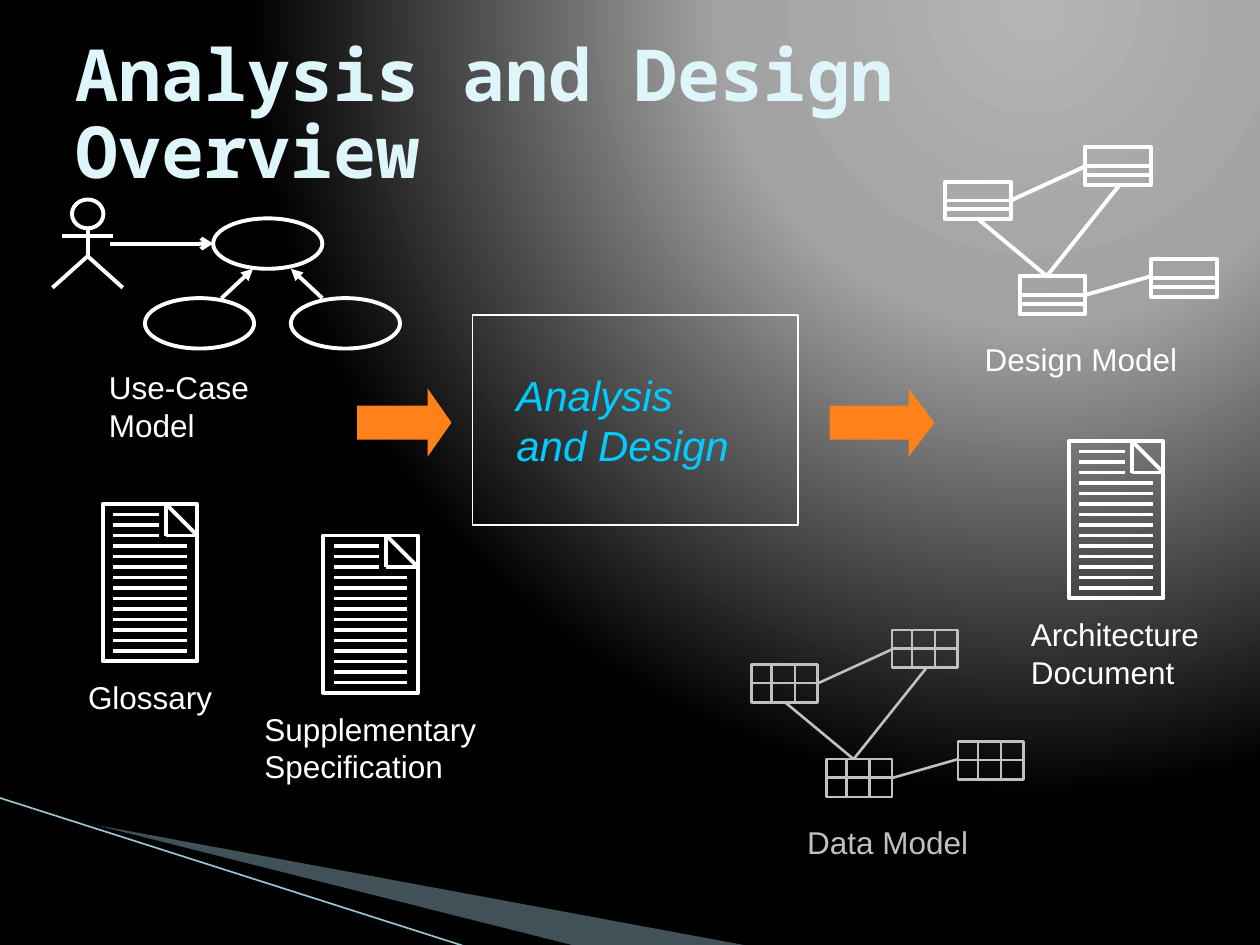
"""Build the Analysis and Design overview slide on a grid of 120 columns by 90 rows."""
from lxml.etree import SubElement
from pptx import Presentation
from pptx.dml.color import RGBColor
from pptx.enum.shapes import MSO_CONNECTOR, MSO_SHAPE
from pptx.enum.text import MSO_ANCHOR, MSO_AUTO_SIZE
from pptx.oxml import parse_xml
from pptx.oxml.ns import nsdecls, qn
from pptx.util import Inches, Pt

WHITE = RGBColor(0xFF, 0xFF, 0xFF)
BLACK = RGBColor(0x00, 0x00, 0x00)
SILVER = RGBColor(0xC0, 0xC0, 0xC0)
ORANGE = RGBColor(0xFF, 0x81, 0x19)
CYAN = RGBColor(0x00, 0xCC, 0xFF)
ICE = RGBColor(0xDE, 0xF5, 0xFA)
MIST = RGBColor(0xA0, 0xCB, 0xDC)
TEAL = RGBColor(0x97, 0xC5, 0xD8)

COLUMNS, ROWS = 120, 90
WIDTH, HEIGHT = Inches(10), Inches(7.5)
BOX_WIDTH, BOX_HEIGHT = 6.25, 3.6
NETWORK_BOXES = [(0, 0), (13.35, -3.3), (7.1, 9), (19.65, 7.35)]
NETWORK_LINKS = [
    ((9.7, 9), (3.25, 3.65)),
    ((6.25, 1.8), (13.35, -1.45)),
    ((13.35, 10.8), (19.65, 9)),
    ((9.7, 9), (16.6, 0.35)),
]
CLASS_RULES = [((0, row), (BOX_WIDTH, row)) for row in (1.8, 2.65)]
TABLE_RULES = [((0, 1.75), (BOX_WIDTH, 1.75))] + [
    ((column, 0), (column, BOX_HEIGHT)) for column in (1.9, 4.1)
]


def across(columns):
    return round(columns * WIDTH / COLUMNS)


def down(rows):
    return round(rows * HEIGHT / ROWS)


def shift(origin, point):
    return origin[0] + point[0], origin[1] + point[1]


def style(shape, fill=None, line=None, weight=2.25):
    shape.shadow.inherit = False
    if fill is None:
        shape.fill.background()
    else:
        shape.fill.solid()
        shape.fill.fore_color.rgb = fill
    if line is None:
        shape.line.fill.background()
    else:
        shape.line.color.rgb = line
        shape.line.width = Pt(weight)
    return shape


def add_figure(shapes, kind, corner, size, **look):
    shape = shapes.add_shape(kind, across(corner[0]), down(corner[1]), across(size[0]), down(size[1]))
    return style(shape, **look)


def add_outline(shapes, points, close=False, **look):
    places = [(across(column), down(row)) for column, row in points]
    builder = shapes.build_freeform(*places[0])
    builder.add_line_segments(places[1:], close=close)
    return style(builder.convert_to_shape(), **look)


def add_line(shapes, start, end, color=WHITE, weight=2.25, head=None):
    line = shapes.add_connector(
        MSO_CONNECTOR.STRAIGHT, across(start[0]), down(start[1]), across(end[0]), down(end[1])
    )
    line.line.color.rgb = color
    line.line.width = Pt(weight)
    if head:
        SubElement(line.line._get_or_add_ln(), qn("a:tailEnd"), type=head)
    SubElement(line._element.spPr, qn("a:effectLst"))


def add_text(shapes, corner, size, lines, points=18, color=WHITE, name="Arial", wrap=False):
    box = shapes.add_textbox(across(corner[0]), down(corner[1]), across(size[0]), down(size[1]))
    frame = box.text_frame
    frame.word_wrap = wrap
    frame.auto_size = MSO_AUTO_SIZE.SHAPE_TO_FIT_TEXT
    frame.text = "\n".join(lines)
    for para in frame.paragraphs:
        para.font.size = Pt(points)
        para.font.name = name
        para.font.color.rgb = color
    return frame


def add_background(page):
    stops = "".join(
        f'<a:gs pos="{share * 1000}"><a:srgbClr val="{color}"/></a:gs>'
        for share, color in ((0, "B4B4B4"), (40, "A2A2A2"), (100, "000000"))
    )
    page._element.cSld.insert(0, parse_xml(
        f'<p:bg {nsdecls("p", "a")}><p:bgPr><a:gradFill rotWithShape="1"><a:gsLst>{stops}</a:gsLst>'
        '<a:path path="circle"><a:fillToRect l="65000" t="0" r="0" b="98000"/></a:path>'
        '</a:gradFill><a:effectLst/></p:bgPr></p:bg>'
    ))


def add_swoosh(shapes):
    wedge = add_outline(shapes, [(6.6, 78.1), (71.4, 90.1), (54.7, 90.1), (6.6, 78)], close=True, fill=MIST)
    color = wedge._element.spPr.find(qn("a:solidFill"))[0]
    SubElement(color, qn("a:alpha"), val="40000")
    add_outline(shapes, [(6.4, 77.9), (54.8, 90.1), (44.6, 90.2), (6.5, 78)], close=True, fill=BLACK)
    add_line(shapes, (0, 76), (44.5, 90.2), TEAL, 0.95)


def add_document(page, corner, caption, indent, width):
    shapes = page.shapes.add_group_shape().shapes
    add_figure(shapes, MSO_SHAPE.RECTANGLE, corner, (9, 15), line=WHITE)
    for start, end in (((6, 0), (9, 3)), ((6, 0), (6, 3)), ((9, 3), (6, 3))):
        add_line(shapes, shift(corner, start), shift(corner, end))
    for row in range(1, 15):
        end = 5.3 if row <= 3 else 8
        add_line(shapes, shift(corner, (1, row)), shift(corner, (end, row)))
    add_text(shapes, shift(corner, (-indent, 16)), (width, 1.2 + 3.6 * len(caption)), caption)


def add_network(page, origin, rules, color, weight, caption, place, width):
    shapes = page.shapes.add_group_shape().shapes
    for start, end in NETWORK_LINKS:
        add_line(shapes, shift(origin, start), shift(origin, end), color, weight)
    for offset in NETWORK_BOXES:
        corner = shift(origin, offset)
        add_figure(shapes, MSO_SHAPE.RECTANGLE, corner, (BOX_WIDTH, BOX_HEIGHT), line=color, weight=weight)
        for start, end in rules:
            add_line(shapes, shift(corner, start), shift(corner, end), color, weight)
    add_text(shapes, place, (width, 4.8), [caption], color=color)


def add_use_cases(page):
    shapes = page.shapes.add_group_shape().shapes
    add_figure(shapes, MSO_SHAPE.OVAL, (6.85, 19), (3, 2.75), line=WHITE)
    add_line(shapes, (8.35, 21.8), (8.35, 24.4))
    add_line(shapes, (5.9, 22.5), (10.8, 22.5))
    add_outline(shapes, [(5, 27.4), (8.35, 24.4), (11.7, 27.4)], line=WHITE)
    for corner in ((20.3, 20.8), (13.8, 28.4), (27.7, 28.4)):
        add_figure(shapes, MSO_SHAPE.OVAL, corner, (10.4, 4.8), line=WHITE)
    add_line(shapes, (10.5, 23.2), (20.3, 23.2), head="arrow")
    add_line(shapes, (21.1, 28.4), (24.1, 25.6), head="triangle")
    add_line(shapes, (30.7, 28.4), (27.7, 25.6), head="triangle")
    add_text(shapes, (9.2, 34.5), (24.7, 4.8), ["Use-Case Model"])


def add_process(page):
    add_figure(page.shapes, MSO_SHAPE.RECTANGLE, (45, 30), (31, 20), line=WHITE, weight=1)
    frame = add_text(page.shapes, (48, 34.6), (24.6, 10.8), ["Analysis and Design"], 24, CYAN, wrap=True)
    frame.paragraphs[0].font.italic = True
    for column, width, tip in ((34, 9, 0.35), (79, 10, 0.38)):
        arrow = add_figure(page.shapes, MSO_SHAPE.RIGHT_ARROW, (column, 37), (width, 6.5), fill=ORANGE)
        arrow.adjustments[0] = 0.5
        arrow.adjustments[1] = tip


def add_title(page):
    frame = add_text(
        page.shapes, (6, 3.6), (108, 15), ["Analysis and Design Overview"], 41, ICE, "Noto Sans Mono", True
    )
    frame.auto_size = MSO_AUTO_SIZE.NONE
    frame.vertical_anchor = MSO_ANCHOR.MIDDLE
    frame.paragraphs[0].font.bold = True
    frame.paragraphs[0].line_spacing = 0.9


def main():
    deck = Presentation()
    deck.slide_width, deck.slide_height = WIDTH, HEIGHT
    page = deck.slides.add_slide(deck.slide_layouts[6])
    add_background(page)
    add_swoosh(page.shapes)
    add_document(page, (30.8, 51), ["Supplementary", "Specification"], 6.8, 22.6)
    add_use_cases(page)
    add_network(page, (90, 17.3), CLASS_RULES, WHITE, 2.25, "Design Model", (92.6, 31.8), 20.8)
    add_network(page, (71.6, 63.3), TABLE_RULES, SILVER, 1.5, "Data Model", (75.7, 77.8), 17.8)
    add_document(page, (101.8, 42), ["Architecture", "Document"], 4.8, 18.4)
    add_process(page)
    add_title(page)
    add_document(page, (9.8, 48), ["Glossary"], 2.6, 14.3)
    deck.save("out.pptx")


main()
